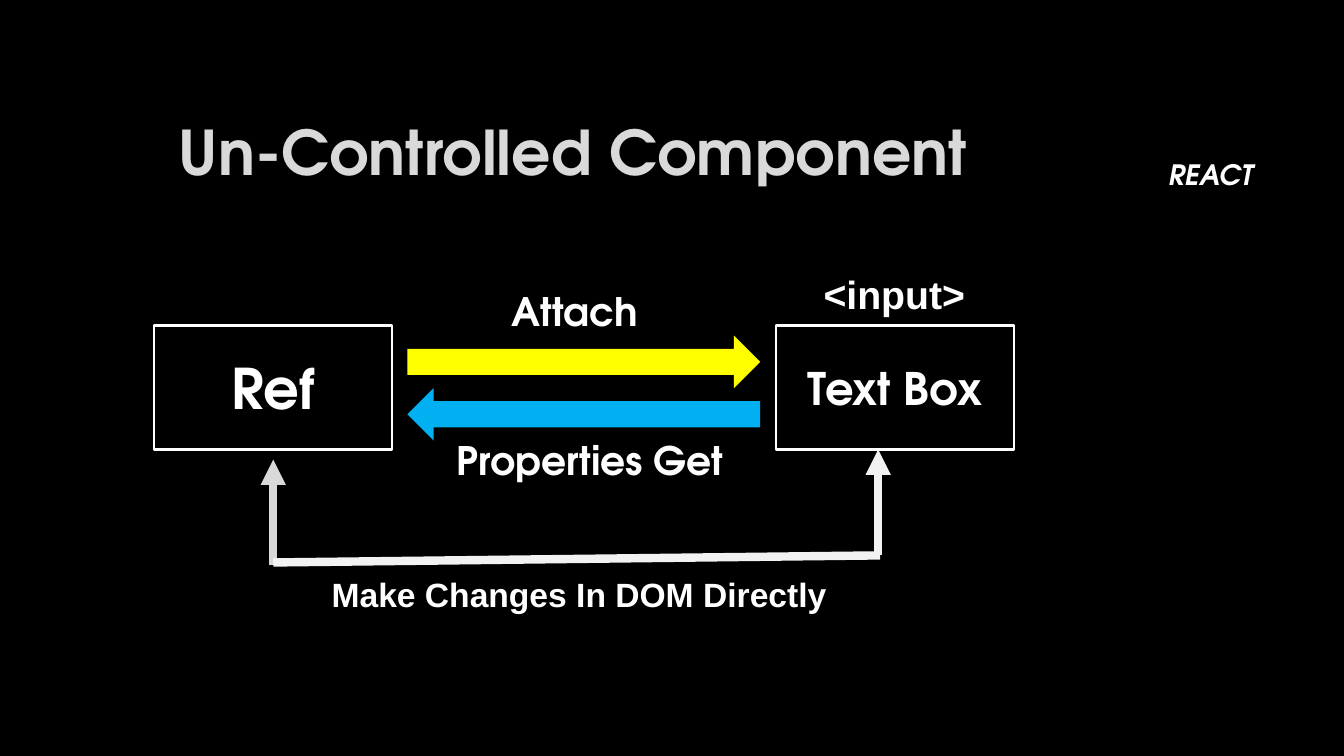
from pptx import Presentation
from pptx.dml.color import RGBColor
from pptx.enum.shapes import MSO_CONNECTOR, MSO_SHAPE
from pptx.enum.text import MSO_ANCHOR, MSO_AUTO_SIZE, PP_ALIGN
from pptx.oxml.ns import qn
from pptx.util import Inches, Pt
from lxml.etree import SubElement


def paint(color, code):
    color.rgb = RGBColor.from_string(code)


def apply(item, values):
    for name, value in values.items():
        setattr(item, name, value)


class Board:
    face = "TeX Gyre Adventor"
    white = "FFFFFF"
    black = "000000"

    def __init__(self, deck):
        self.slide = deck.slides.add_slide(deck.slide_layouts[5])
        self.shapes = self.slide.shapes
        fill = self.slide.background.fill
        fill.solid()
        paint(fill.fore_color, self.black)

    def letter(self, shape, text, size, frame, align, color=white, **font):
        apply(shape.text_frame, frame)
        para = shape.text_frame.paragraphs[0]
        para.alignment = align
        run = para.add_run()
        run.text = text
        style = {"name": self.face, "size": Pt(size), "bold": True}
        apply(run.font, style | font)
        paint(run.font.color, color)
        return para

    def title(self, text, spot, size, color):
        shape = self.shapes.title
        names = ("left", "top", "width", "height")
        apply(shape, dict(zip(names, map(Inches, spot))))
        frame = {"vertical_anchor": MSO_ANCHOR.BOTTOM, "word_wrap": True,
                 "auto_size": MSO_AUTO_SIZE.NONE}
        para = self.letter(shape, text, size, frame, PP_ALIGN.LEFT, color)
        para.line_spacing = 0.9

    def label(self, text, spot, size, **font):
        shape = self.shapes.add_textbox(*map(Inches, spot))
        frame = {"vertical_anchor": MSO_ANCHOR.MIDDLE, "word_wrap": False,
                 "auto_size": MSO_AUTO_SIZE.SHAPE_TO_FIT_TEXT}
        self.letter(shape, text, size, frame, PP_ALIGN.LEFT, **font)

    def form(self, kind, spot, color):
        shape = self.shapes.add_shape(kind, *map(Inches, spot))
        shape.shadow.inherit = False
        shape.fill.solid()
        paint(shape.fill.fore_color, color)
        return shape

    def box(self, text, left, size):
        spot = (left, 3.23, 2.36, 1.23)
        shape = self.form(MSO_SHAPE.RECTANGLE, spot, self.black)
        paint(shape.line.color, self.white)
        shape.line.width = Pt(1.5)
        frame = {"vertical_anchor": MSO_ANCHOR.MIDDLE, "word_wrap": True}
        self.letter(shape, text, size, frame, PP_ALIGN.CENTER)

    def arrow(self, top, color, turn=0):
        spot = (4.04, top, 3.5, 0.52)
        shape = self.form(MSO_SHAPE.RIGHT_ARROW, spot, color)
        shape.line.fill.background()
        shape.rotation = turn

    def line(self, start, end, color, head=False):
        ends = map(Inches, start + end)
        link = self.shapes.add_connector(MSO_CONNECTOR.STRAIGHT, *ends)
        paint(link.line.color, color)
        link.line.width = Pt(6)
        props = link._element.spPr
        if head:
            tip = SubElement(props.find(qn("a:ln")), qn("a:tailEnd"))
            tip.set("type", "triangle")
        SubElement(props, qn("a:effectLst"))


def main():
    deck = Presentation()
    apply(deck, {"slide_width": Inches(13.33), "slide_height": Inches(7.5)})
    board = Board(deck)
    gray, pale = "D9D9D9", "F2F2F2"

    board.label("REACT", (11.49, 1.51, 1.05, 0.44), 20, italic=True)
    board.title("Un-Controlled Component", (1.67, 0.42, 10, 1.5), 44, gray)

    board.box("Text Box", 7.7, 32)
    board.box("Ref", 1.53, 40)

    board.arrow(3.33, "FFFF00")
    board.label("Attach", (4.98, 2.8, 1.47, 0.57), 28)
    board.arrow(3.85, "00B0F0", 180)
    board.label("Properties Get", (4.43, 4.28, 2.88, 0.57), 28)

    board.line((2.71, 5.61), (2.71, 4.56), gray, head=True)
    board.line((2.71, 5.58), (8.73, 5.51), pale)
    board.line((8.71, 5.51), (8.71, 4.46), pale, head=True)

    board.label("<input>", (8.07, 2.63, 1.62, 0.57), 28, name="Arial")
    board.label("Make Changes In DOM Directly", (3.19, 5.64, 5.35, 0.5), 24,
                name="Arial")
    deck.save("out.pptx")


if __name__ == "__main__":
    main()
